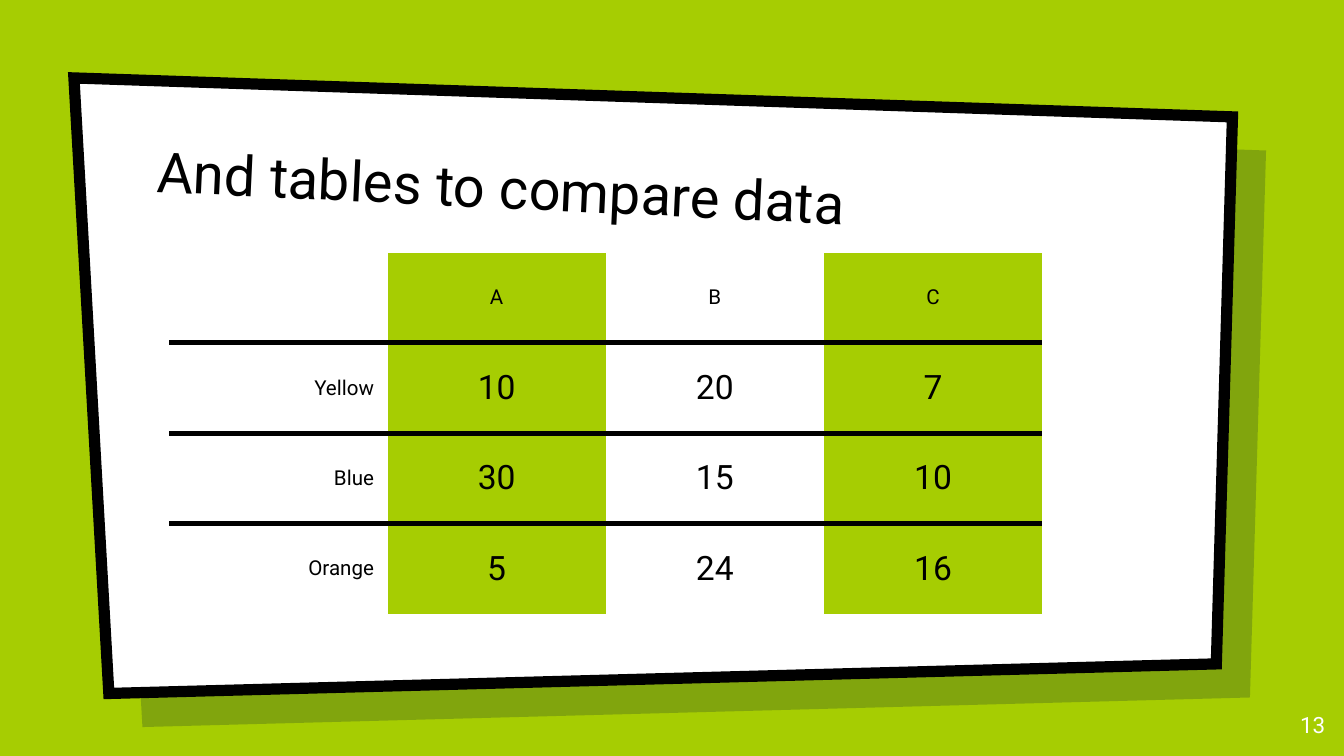
from lxml import etree
from pptx import Presentation
from pptx.dml.color import RGBColor
from pptx.enum import text as t
from pptx.oxml import ns
from pptx.util import Inches, Pt

# Content
TITLE = "And tables to compare data"
NUMBER = "13"
ROWS = [
    ["", "A", "B", "C"],
    ["Yellow", "10", "20", "7"],
    ["Blue", "30", "15", "10"],
    ["Orange", "5", "24", "16"],
]

# Look
FONT = "Roboto"
LIME, WHITE, BLACK, NAVY = "A6CD02", "FFFFFF", "000000", "001936"
CARD = [(0.55, 0.58), (9.17, 0.87), (9.05, 4.94), (0.81, 5.16)]
SHIFT = 0.25
COL, ROW = 1.624, 0.672


def paint(fill, color):
    fill.solid()
    fill.fore_color.rgb = RGBColor.from_string(color)


def write(frame, words, size, color, align):
    frame.text = words
    para = frame.paragraphs[0]
    para.alignment = align
    font = para.runs[0].font if para.runs else para.font
    font.name, font.size, font.bold = FONT, Pt(size), False
    font.color.rgb = RGBColor.from_string(color)


def inset(frame, gap):
    frame.margin_left = frame.margin_right = Inches(0.1)
    frame.margin_top = frame.margin_bottom = Inches(gap)


def panel(shift, color):
    pts = [(Inches(x + shift), Inches(y + shift)) for x, y in CARD]
    pen = slide.shapes.build_freeform(*pts[0])
    pen.add_line_segments(pts[1:], close=True)
    shape = pen.convert_to_shape()
    shape.shadow.inherit = False
    paint(shape.fill, color)
    return shape


def border(cell, top, bottom):
    props = cell._tc.get_or_add_tcPr()
    sides = {"lnL": False, "lnR": False, "lnT": top, "lnB": bottom}
    for spot, (side, on) in enumerate(sides.items()):
        line = etree.Element(ns.qn("a:" + side), w=str(Pt(3) if on else 0))
        if on:
            fill = etree.SubElement(line, ns.qn("a:solidFill"))
            etree.SubElement(fill, ns.qn("a:srgbClr"), val=BLACK)
        else:
            etree.SubElement(line, ns.qn("a:noFill"))
        props.insert(spot, line)


deck = Presentation()
deck.slide_width, deck.slide_height = Inches(10), Inches(5.625)
slide = deck.slides.add_slide(deck.slide_layouts[5])
paint(slide.background.fill, LIME)

# Card with its see-through shadow
shade = panel(SHIFT, NAVY)
shade.line.fill.background()
tint = shade.fill._xPr.find(".//" + ns.qn("a:srgbClr"))
etree.SubElement(tint, ns.qn("a:alpha"), val="22000")
card = panel(0, WHITE)
paint(card.line.fill, BLACK)
card.line.width = Pt(6)
etree.SubElement(card.line._get_or_add_ln(), ns.qn("a:miter"), lim="800000")

# Tilted title, brought in front of the card
title = slide.shapes.title
slide.shapes._spTree.append(title._element)
title.left, title.top = Inches(1.07), Inches(0.96)
title.width, title.height = Inches(7.69), Inches(0.83)
title.rotation = 2.7
frame = title.text_frame
inset(frame, 0.1)
frame.vertical_anchor = t.MSO_ANCHOR.BOTTOM
frame.auto_size = t.MSO_AUTO_SIZE.NONE
write(frame, TITLE, 30, BLACK, t.PP_ALIGN.LEFT)

# Table: lime on every second column, rules between rows
high, wide = len(ROWS), len(ROWS[0])
table = slide.shapes.add_table(
    high, wide, Inches(1.26), Inches(1.88),
    Inches(COL * wide), Inches(ROW * high)).table
table.first_row = table.horz_banding = False
for r, row in enumerate(ROWS):
    for c, words in enumerate(row):
        cell = table.cell(r, c)
        inset(cell, 0.07)
        cell.vertical_anchor = t.MSO_ANCHOR.MIDDLE
        write(cell.text_frame, words, 18 if r and c else 11, BLACK,
              t.PP_ALIGN.CENTER if c else t.PP_ALIGN.RIGHT)
        if c % 2:
            paint(cell.fill, LIME)
        else:
            cell.fill.background()
        border(cell, r > 0, r < high - 1)

# Slide number
box = slide.shapes.add_textbox(
    Inches(9.36), Inches(5.19), Inches(0.6), Inches(0.43))
box.text_frame.word_wrap = True
inset(box.text_frame, 0.1)
write(box.text_frame, NUMBER, 12, WHITE, t.PP_ALIGN.RIGHT)

deck.save("out.pptx")
